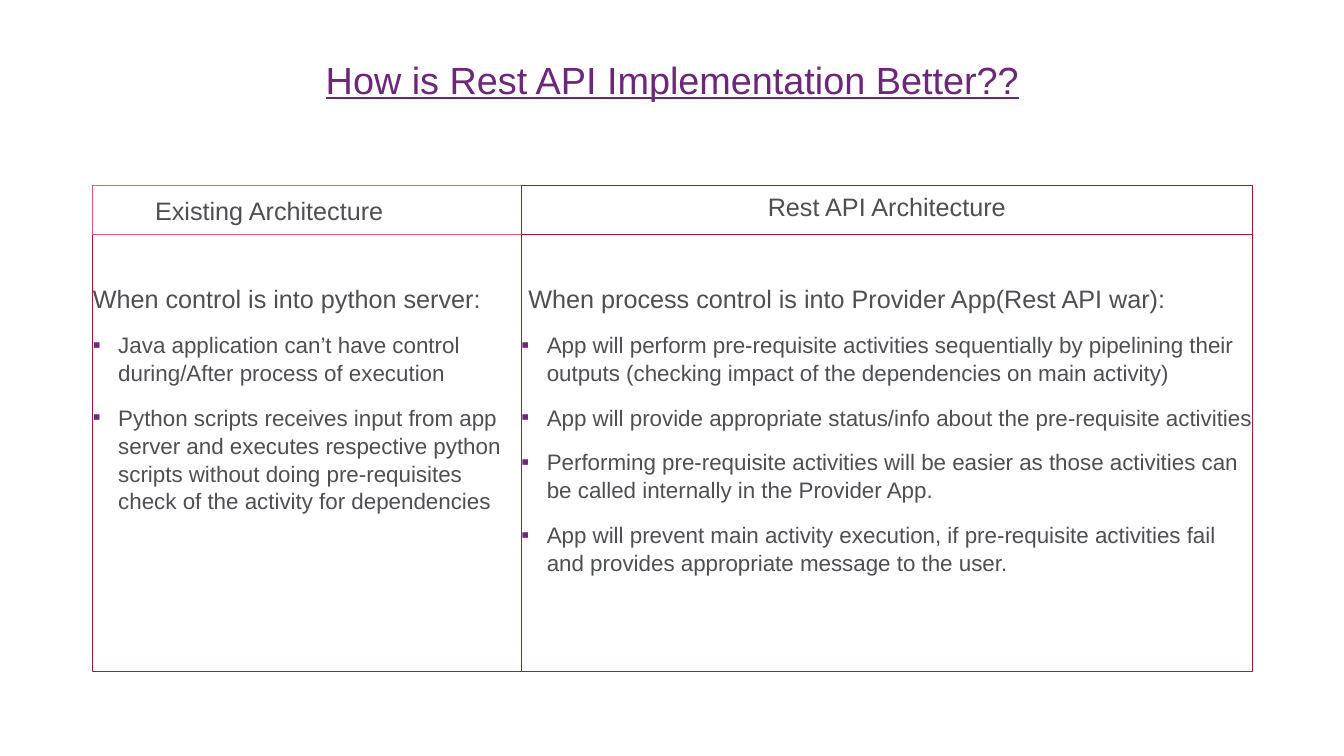
"""Build the slide comparing the existing architecture with the Rest API one."""
from lxml import etree
from pptx import Presentation
from pptx.dml.color import RGBColor
from pptx.enum.shapes import MSO_SHAPE
from pptx.enum.text import MSO_ANCHOR, MSO_AUTO_SIZE, PP_ALIGN
from pptx.oxml.ns import qn
from pptx.util import Cm, Pt

RECTANGLE = MSO_SHAPE.RECTANGLE
TOP, MIDDLE = MSO_ANCHOR.TOP, MSO_ANCHOR.MIDDLE
LEFT, CENTER = PP_ALIGN.LEFT, PP_ALIGN.CENTER
NO_AUTOFIT = MSO_AUTO_SIZE.NONE

PURPLE = RGBColor(0x6E, 0x26, 0x7B)
GREY = RGBColor(0x4D, 0x4F, 0x53)
CRIMSON = RGBColor(0xA7, 0x19, 0x30)
ROSE = RGBColor(0xE6, 0x59, 0x70)

FONT = "Arial"
GRID_LEFT, GRID_TOP = Cm(2.34), Cm(4.67)
HEADER_HEIGHT, BODY_HEIGHT = Cm(1.23), Cm(11.02)
BULLET_INDENT = Cm(0.64)

COLUMNS = [
    {
        "width": Cm(10.8),
        "line": ROSE,
        "anchor": MIDDLE,
        "margins": (Cm(0), Cm(0), Cm(1.91), Cm(0)),
        "header": "Existing Architecture",
        "heading": "When control is into python server:",
        "bullets": [
            "Java application can’t have control during/After process of execution",
            "Python scripts receives input from app server and executes respective "
            "python scripts without doing pre-requisites check of the activity for "
            "dependencies",
        ],
    },
    {
        "width": Cm(18.42),
        "line": CRIMSON,
        "anchor": TOP,
        "margins": (Cm(0.25), Cm(0.13), Cm(0.25), Cm(0.13)),
        "header": "Rest API Architecture",
        "heading": " When process control is into Provider App(Rest API war):",
        "bullets": [
            "App will perform pre-requisite activities sequentially by pipelining "
            "their outputs (checking impact of the dependencies on main activity)",
            "App will provide appropriate status/info about the pre-requisite "
            "activities",
            "Performing pre-requisite activities will be easier as those activities "
            "can be called internally in the Provider App.",
            "App will prevent main activity execution, if pre-requisite activities "
            "fail and provides appropriate message to the user.",
        ],
    },
]


def place(shape, left, top, width, height):
    """Move and size a shape."""
    shape.left, shape.top, shape.width, shape.height = left, top, width, height


def outline(shape, color):
    """Give a shape a thin line and no fill."""
    shape.fill.background()
    shape.line.color.rgb = color
    shape.line.width = Pt(0.75)


def prepare_frame(shape, anchor, margins):
    """Set anchor, wrapping and left, top, right, bottom margins."""
    frame = shape.text_frame
    frame.word_wrap = True
    frame.auto_size = NO_AUTOFIT
    frame.vertical_anchor = anchor
    (frame.margin_left, frame.margin_top,
     frame.margin_right, frame.margin_bottom) = margins
    return frame


def write(paragraph, text, size, color=GREY, align=LEFT, before=0, after=0):
    """Format a paragraph and add one run to it."""
    paragraph.alignment = align
    paragraph.line_spacing = 1.04
    paragraph.space_before, paragraph.space_after = Pt(before), Pt(after)
    run = paragraph.add_run()
    run.text = text
    run.font.name = FONT
    run.font.size = Pt(size)
    run.font.color.rgb = color
    return run


def set_bullet(paragraph, character=None):
    """Hang a purple bullet on a paragraph, or remove its bullet."""
    properties = paragraph._p.get_or_add_pPr()
    indent = BULLET_INDENT if character else 0
    properties.set("marL", str(indent))
    properties.set("indent", str(-indent))
    if not character:
        etree.SubElement(properties, qn("a:buNone"))
        return
    bullet_color = etree.SubElement(properties, qn("a:buClr"))
    etree.SubElement(bullet_color, qn("a:srgbClr"), val=str(PURPLE))
    etree.SubElement(properties, qn("a:buFont"), typeface=FONT)
    etree.SubElement(properties, qn("a:buChar"), char=character)


def add_title(slide, text):
    """Fill the title placeholder with underlined text."""
    title = slide.shapes.title
    place(title, GRID_LEFT, Cm(1.02), Cm(29.21), Cm(1.9))
    frame = prepare_frame(title, MIDDLE, (Cm(0), Cm(0.13), Cm(0), Cm(0.13)))
    run = write(frame.paragraphs[0], text, 27, PURPLE, CENTER)
    run.font.underline = True


def add_header(slide, column, left):
    """Add the header box of a column."""
    header = slide.shapes.add_shape(
        RECTANGLE, left, GRID_TOP, column["width"], HEADER_HEIGHT)
    header.shadow.inherit = False
    outline(header, column["line"])
    frame = prepare_frame(header, column["anchor"], column["margins"])
    write(frame.paragraphs[0], column["header"], 18, align=CENTER)


def fill_body(body, column, left):
    """Fill a body placeholder with a heading and its bullets."""
    place(body, left, GRID_TOP + HEADER_HEIGHT, column["width"], BODY_HEIGHT)
    outline(body, CRIMSON)
    frame = prepare_frame(body, TOP, (Cm(0), Cm(1.2), Cm(0), Cm(0)))
    heading = frame.paragraphs[0]
    write(heading, column["heading"], 18, after=6)
    set_bullet(heading)
    for text in column["bullets"]:
        paragraph = frame.add_paragraph()
        paragraph.level = 1
        write(paragraph, text, 16, before=6, after=6)
        set_bullet(paragraph, "▪")


def main():
    """Build and save the slide."""
    presentation = Presentation()
    presentation.slide_width, presentation.slide_height = Cm(33.87), Cm(19.05)
    slide = presentation.slides.add_slide(presentation.slide_layouts[3])
    add_title(slide, "How is Rest API Implementation Better??")
    left = GRID_LEFT
    for index, column in enumerate(COLUMNS, start=1):
        add_header(slide, column, left)
        fill_body(slide.placeholders[index], column, left)
        left += column["width"]
    presentation.save("out.pptx")


main()
